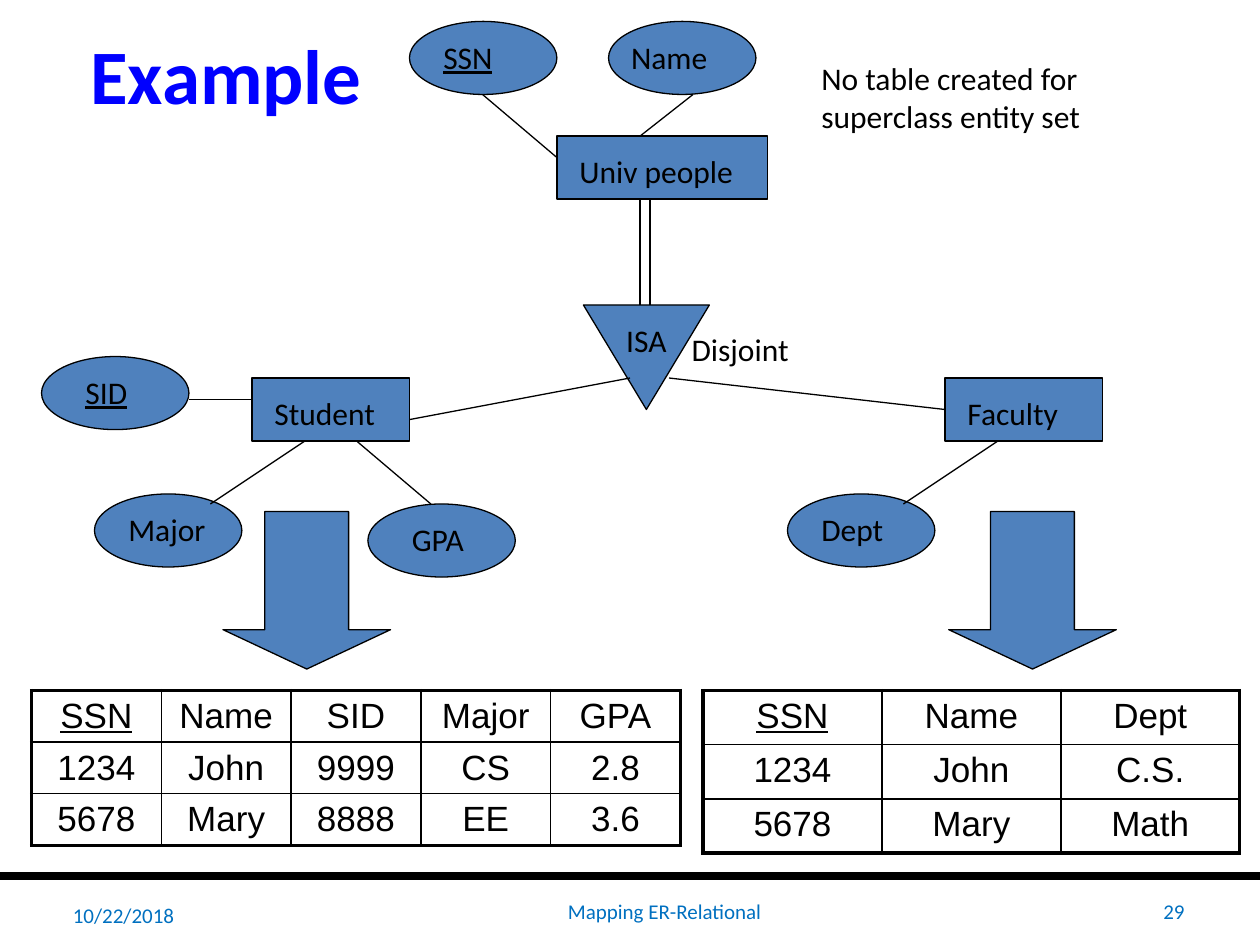
from lxml.etree import SubElement
from pptx import Presentation
from pptx.dml.color import RGBColor
from pptx.enum.shapes import MSO_CONNECTOR, MSO_SHAPE
from pptx.enum.text import MSO_ANCHOR, PP_ALIGN
from pptx.oxml import parse_xml
from pptx.oxml.ns import nsdecls, qn
from pptx.util import Inches, Pt

BLACK, WHITE, ENTITY_BLUE = "000000", "FFFFFF", "4F81BD"
LABEL = {"name": "Calibri", "size": Pt(18)}
KEY = {**LABEL, "underline": True}
HEADING = {"name": "Calibri", "size": Pt(44), "bold": True}
FOOTER = {"name": "Calibri", "size": Pt(12)}
CELL = {"name": "Arial", "size": Pt(20)}
KEY_CELL = {**CELL, "underline": True}

# Kind: preset shape, width, height
ENTITY = (MSO_SHAPE.RECTANGLE, 1.25, 0.5)
WIDE_ENTITY = (MSO_SHAPE.RECTANGLE, 1.67, 0.5)
ATTRIBUTE = (MSO_SHAPE.OVAL, 1.17, 0.58)

# Kind, left, top, label, label inset, label format
NODES = [
    (WIDE_ENTITY, 4.42, 1.08, "Univ people", 0.08, LABEL),
    (ENTITY, 2, 3, "Student", 0.08, LABEL),
    (ATTRIBUTE, 3.25, 0.17, "SSN", 0.17, KEY),
    (ATTRIBUTE, 4.83, 0.17, "Name", 0.08, LABEL),
    (ATTRIBUTE, 0.33, 2.83, "SID", 0.25, KEY),
    (ATTRIBUTE, 0.75, 3.92, "Major", 0.17, LABEL),
    (ATTRIBUTE, 2.92, 4, "GPA", 0.25, LABEL),
    (ATTRIBUTE, 6.25, 3.92, "Dept", 0.17, LABEL),
]

# Start x, start y, end x, end y
LINKS = [
    (3.83, 0.75, 4.42, 1.25),   # SSN to people
    (5.5, 0.75, 5.08, 1.08),    # Name to people
    (5.08, 1.58, 5.08, 2.42),   # double line, total participation
    (5.16, 1.58, 5.16, 2.42),
    (5, 3, 3.25, 3.33),         # ISA to Student
    (1.5, 3.17, 2, 3.17),       # SID to Student
    (1.67, 4, 2.42, 3.5),       # Major to Student
    (3.42, 4, 2.83, 3.5),       # GPA to Student
    (7.17, 4, 7.92, 3.5),       # Dept to Faculty
]

STUDENT_ROWS = [
    ["SSN", "Name", "SID", "Major", "GPA"],
    ["1234", "John", "9999", "CS", "2.8"],
    ["5678", "Mary", "8888", "EE", "3.6"],
]
FACULTY_ROWS = [
    ["SSN", "Name", "Dept"],
    ["1234", "John", "C.S."],
    ["5678", "Mary", "Math"],
]


def rgb(color):
    return RGBColor.from_string(color)


def write(frame, text, formats, color=BLACK, align=PP_ALIGN.LEFT):
    paragraph = frame.paragraphs[0]
    paragraph.alignment = align
    run = paragraph.add_run()
    run.text = text
    for name, value in formats.items():
        setattr(run.font, name, value)
    run.font.color.rgb = rgb(color)


def add_text(slide, left, top, width, height, text, formats,
             color=BLACK, align=PP_ALIGN.LEFT, anchor=MSO_ANCHOR.TOP):
    box = slide.shapes.add_textbox(*map(Inches, (left, top, width, height)))
    box.text_frame.word_wrap = True
    box.text_frame.vertical_anchor = anchor
    write(box.text_frame, text, formats, color, align)


def add_figure(slide, preset, left, top, width, height):
    figure = slide.shapes.add_shape(preset, *map(Inches, (left, top, width, height)))
    figure.shadow.inherit = False
    figure.fill.solid()
    figure.fill.fore_color.rgb = rgb(ENTITY_BLUE)
    figure.line.color.rgb = rgb(BLACK)
    figure.line.width = Pt(0.75)
    return figure


def add_node(slide, kind, left, top, text, inset, formats, align=PP_ALIGN.LEFT):
    preset, width, height = kind
    figure = add_figure(slide, preset, left, top, width, height)
    add_text(slide, left + inset, top + 0.08, width - 2 * inset, 0.4,
             text, formats, align=align)
    return figure


def add_link(slide, x1, y1, x2, y2, weight=0.75):
    link = slide.shapes.add_connector(
        MSO_CONNECTOR.STRAIGHT, *map(Inches, (x1, y1, x2, y2)))
    link.line.color.rgb = rgb(BLACK)
    link.line.width = Pt(weight)
    SubElement(link._element.spPr, qn("a:effectLst"))
    return link


def set_borders(cell, outer_sides):
    properties = cell._tc.get_or_add_tcPr()
    for position, side in enumerate("LRTB"):
        weight = Pt(2.25 if side in outer_sides else 1)
        properties.insert(position, parse_xml(
            f'<a:ln{side} {nsdecls("a")} w="{weight}"><a:solidFill>'
            f'<a:srgbClr val="{BLACK}"/></a:solidFill></a:ln{side}>'))


def add_relation(slide, left, top, column_width, row_height, rows):
    row_count, column_count = len(rows), len(rows[0])
    table = slide.shapes.add_table(
        row_count, column_count, Inches(left), Inches(top),
        Inches(column_width * column_count), Inches(row_height * row_count)).table
    for column in table.columns:
        column.width = Inches(column_width)
    for row in table.rows:
        row.height = Inches(row_height)
    for r, values in enumerate(rows):
        for c, value in enumerate(values):
            cell = table.cell(r, c)
            cell.margin_bottom = Inches(0.02)
            cell.fill.solid()
            cell.fill.fore_color.rgb = rgb(WHITE)
            edges = {"L": c == 0, "R": c == column_count - 1,
                     "T": r == 0, "B": r == row_count - 1}
            set_borders(cell, [side for side, outer in edges.items() if outer])
            formats = KEY_CELL if r == c == 0 else CELL
            write(cell.text_frame, value, formats, align=PP_ALIGN.CENTER)


def main():
    deck = Presentation()
    deck.slide_width, deck.slide_height = Inches(10), Inches(7.5)
    slide = deck.slides.add_slide(deck.slide_layouts[6])

    # Footer rule and title
    add_link(slide, 0, 6.95, 10, 6.95, weight=4.5)
    add_text(slide, 0.42, 0.17, 2.75, 0.83, "Example", HEADING, "0000FF",
             PP_ALIGN.CENTER, MSO_ANCHOR.MIDDLE)

    # Entities, attributes and the ISA triangle
    for node in NODES:
        add_node(slide, *node)
    faculty = add_node(slide, ENTITY, 7.5, 3, "Faculty", 0.08, LABEL)
    isa = add_node(slide, (MSO_SHAPE.FLOWCHART_EXTRACT, 1, 0.83), 4.63, 2.42,
                   "ISA", 0.04, LABEL, PP_ALIGN.CENTER)
    isa.rotation = 180

    # Relationship lines
    for link in LINKS:
        add_link(slide, *link)
    add_link(slide, 5.31, 3, 7.5, 3.25).end_connect(faculty, 1)

    # Remarks
    add_text(slide, 5.39, 2.57, 2.42, 0.4, "Disjoint", LABEL)
    add_text(slide, 6.42, 0.42, 3.33, 0.7,
             "No table created for superclass entity set", LABEL)

    # Arrows down to the resulting tables
    for left in (1.77, 7.53):
        arrow = add_figure(slide, MSO_SHAPE.DOWN_ARROW, left, 4.06, 1.33, 1.25)
        arrow.adjustments[0], arrow.adjustments[1] = 0.5, 0.25
    add_relation(slide, 0.25, 5.48, 1.03, 0.41, STUDENT_ROWS)
    add_relation(slide, 5.58, 5.48, 1.42, 0.43, FACULTY_ROWS)

    # Footer
    for left, width, height, text, align in [
        (0.39, 1.09, 0.47, "10/22/2018", PP_ALIGN.RIGHT),
        (1.64, 7.27, 0.4, "Mapping ER-Relational", PP_ALIGN.CENTER),
        (9.06, 0.44, 0.4, "29", PP_ALIGN.RIGHT),
    ]:
        add_text(slide, left, 7.03, width, height, text, FOOTER, "0070C0",
                 align, MSO_ANCHOR.MIDDLE)

    deck.save("out.pptx")


if __name__ == "__main__":
    main()
